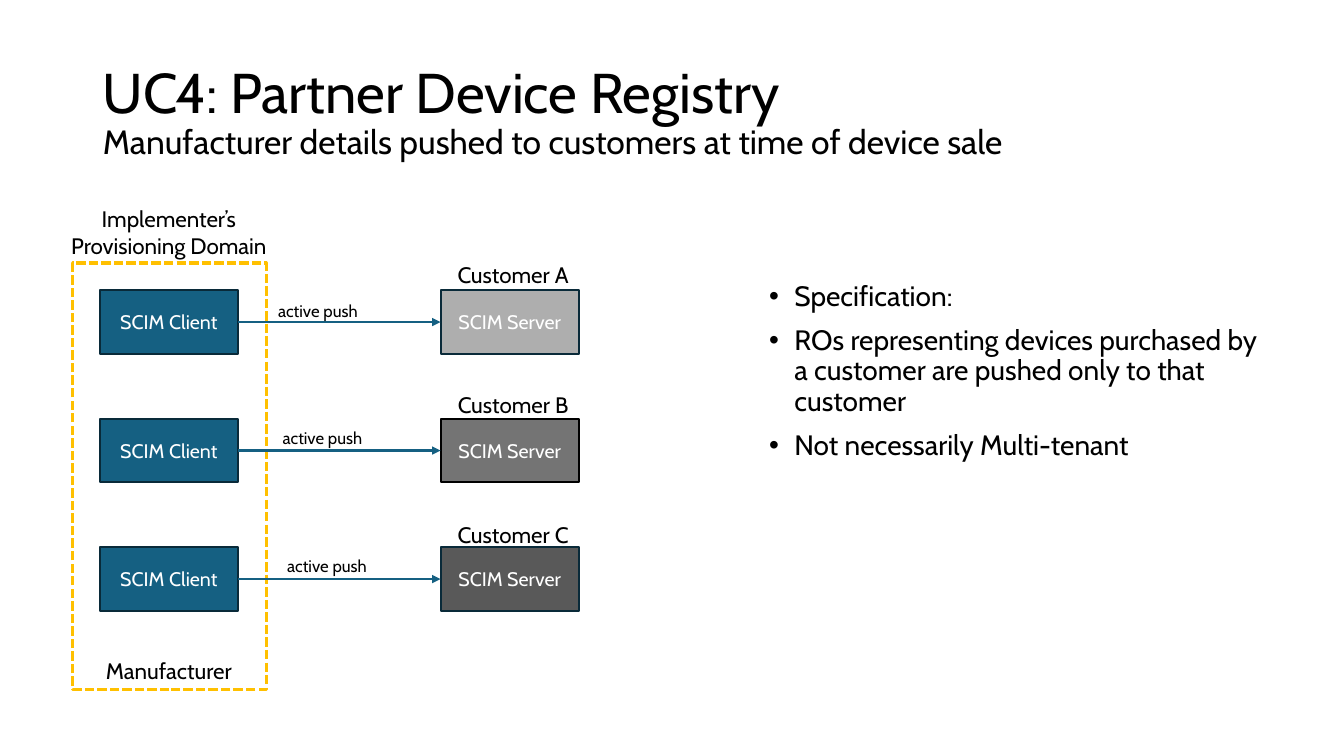
from copy import deepcopy

from lxml.etree import SubElement
from pptx import Presentation
from pptx.dml.color import RGBColor
from pptx.enum.dml import MSO_LINE_DASH_STYLE as Dash
from pptx.enum.shapes import MSO_CONNECTOR as Connector, MSO_SHAPE as Shape
from pptx.enum.text import MSO_ANCHOR as Anchor, MSO_AUTO_SIZE as AutoSize, PP_ALIGN as Align
from pptx.oxml.ns import qn
from pptx.util import Inches, Pt

FONT = "Cabin"
BLACK = RGBColor(0x00, 0x00, 0x00)
WHITE = RGBColor(0xFF, 0xFF, 0xFF)
TEAL = RGBColor(0x15, 0x60, 0x82)
NAVY = RGBColor(0x09, 0x2A, 0x39)
AMBER = RGBColor(0xFF, 0xC0, 0x00)
LIGHT_GREY = RGBColor(0xAE, 0xAE, 0xAE)
MID_GREY = RGBColor(0x74, 0x74, 0x74)
DARK_GREY = RGBColor(0x59, 0x59, 0x59)

CLIENT_COLUMN, SERVER_COLUMN = 0.99, 4.37
FIRST_ROW, ROW_STEP = 2.88, 1.275
NODE_WIDTH, NODE_HEIGHT = 1.37, 0.63
CUSTOMERS = [
    ("Customer A", LIGHT_GREY, NAVY),
    ("Customer B", MID_GREY, BLACK),
    ("Customer C", DARK_GREY, NAVY),
]
BULLETS = [
    "Specification:",
    "ROs representing devices purchased by a customer are pushed only to that customer",
    "Not necessarily Multi-tenant",
]


def inches(*lengths):
    return [Inches(length) for length in lengths]


def add_span(para, text, size, colour=BLACK):
    span = para.add_run()
    span.text = text
    span.font.name = FONT
    span.font.size = Pt(size)
    span.font.color.rgb = colour
    return span


def add_title(page, heading, subheading):
    title = page.shapes.title
    title.left, title.top, title.width, title.height = inches(0.92, 0.4, 11.5, 1.45)
    frame = title.text_frame
    frame.auto_size = AutoSize.NONE
    frame.vertical_anchor = Anchor.MIDDLE
    para = frame.paragraphs[0]
    para.alignment = Align.LEFT
    para.line_spacing = 0.9
    span = add_span(para, heading, 40)
    para.add_line_break()
    para._p[-1].append(deepcopy(span.font._element))
    add_span(para, subheading, 24)


def add_label(page, lines, place, size, align=Align.CENTER):
    frame = page.shapes.add_textbox(*inches(*place)).text_frame
    frame.word_wrap = False
    frame.auto_size = AutoSize.SHAPE_TO_FIT_TEXT
    for index, line in enumerate(lines):
        para = frame.add_paragraph() if index else frame.paragraphs[0]
        para.alignment = align
        add_span(para, line, size)


def add_node(page, text, left, top, fill, edge):
    node = page.shapes.add_shape(Shape.RECTANGLE, *inches(left, top, NODE_WIDTH, NODE_HEIGHT))
    node.shadow.inherit = False
    node.fill.solid()
    node.fill.fore_color.rgb = fill
    node.line.color.rgb = edge
    node.line.width = Pt(1.5)
    node.text_frame.vertical_anchor = Anchor.MIDDLE
    para = node.text_frame.paragraphs[0]
    para.alignment = Align.CENTER
    add_span(para, text, 14, WHITE)


def add_domain(page, place):
    domain = page.shapes.add_shape(Shape.RECTANGLE, *inches(*place))
    domain.shadow.inherit = False
    domain.fill.background()
    domain.line.color.rgb = AMBER
    domain.line.width = Pt(2.25)
    domain.line.dash_style = Dash.SQUARE_DOT


def add_arrow(page, start, end, height):
    arrow = page.shapes.add_connector(Connector.STRAIGHT, *inches(start, height, end, height))
    arrow.line.color.rgb = TEAL
    arrow.line.width = Pt(1.5)
    SubElement(arrow.line._get_or_add_ln(), qn("a:tailEnd"), type="triangle")
    SubElement(arrow._element.spPr, qn("a:effectLst"))


def add_bullets(page, items, place):
    frame = page.shapes.add_textbox(*inches(*place)).text_frame
    frame.word_wrap = True
    for index, item in enumerate(items):
        para = frame.add_paragraph() if index else frame.paragraphs[0]
        para.line_spacing = 0.9
        para.space_before = Pt(10 if index else 0)
        properties = para._p.get_or_add_pPr()
        properties.set("marL", str(Inches(0.25)))
        properties.set("indent", str(Inches(-0.25)))
        SubElement(properties, qn("a:buFont"), typeface="Arial")
        SubElement(properties, qn("a:buChar"), char="•")
        add_span(para, item, 20)


def add_push(page, row, customer, fill, edge):
    top = FIRST_ROW + row * ROW_STEP
    add_node(page, "SCIM Client", CLIENT_COLUMN, top, TEAL, NAVY)
    add_node(page, "SCIM Server", SERVER_COLUMN, top, fill, edge)
    add_arrow(page, CLIENT_COLUMN + NODE_WIDTH, SERVER_COLUMN, top + NODE_HEIGHT / 2)
    add_label(page, ["active push"], (2.66 + row * 0.045, 2.93 + row * 1.265, 1.04, 0.3), 12, Align.LEFT)
    add_label(page, [customer], (4.41, 2.54 + row * 1.29, 1.36, 0.37), 16)


def main():
    deck = Presentation()
    deck.slide_width, deck.slide_height = inches(13.33, 7.5)
    page = deck.slides.add_slide(deck.slide_layouts.get_by_name("Title Only"))
    add_title(page, "UC4: Partner Device Registry",
              "Manufacturer details pushed to customers at time of device sale")
    add_domain(page, (0.72, 2.61, 1.92, 4.23))
    add_label(page, ["Implementer’s", "Provisioning Domain"], (0.58, 1.99, 2.19, 0.64), 16)
    add_label(page, ["Manufacturer"], (0.92, 6.47, 1.51, 0.37), 16)
    for row, (customer, fill, edge) in enumerate(CUSTOMERS):
        add_push(page, row, customer, fill, edge)
    add_bullets(page, BULLETS, (7.53, 2.75, 5.08, 3.55))
    deck.save("out.pptx")


if __name__ == "__main__":
    main()
